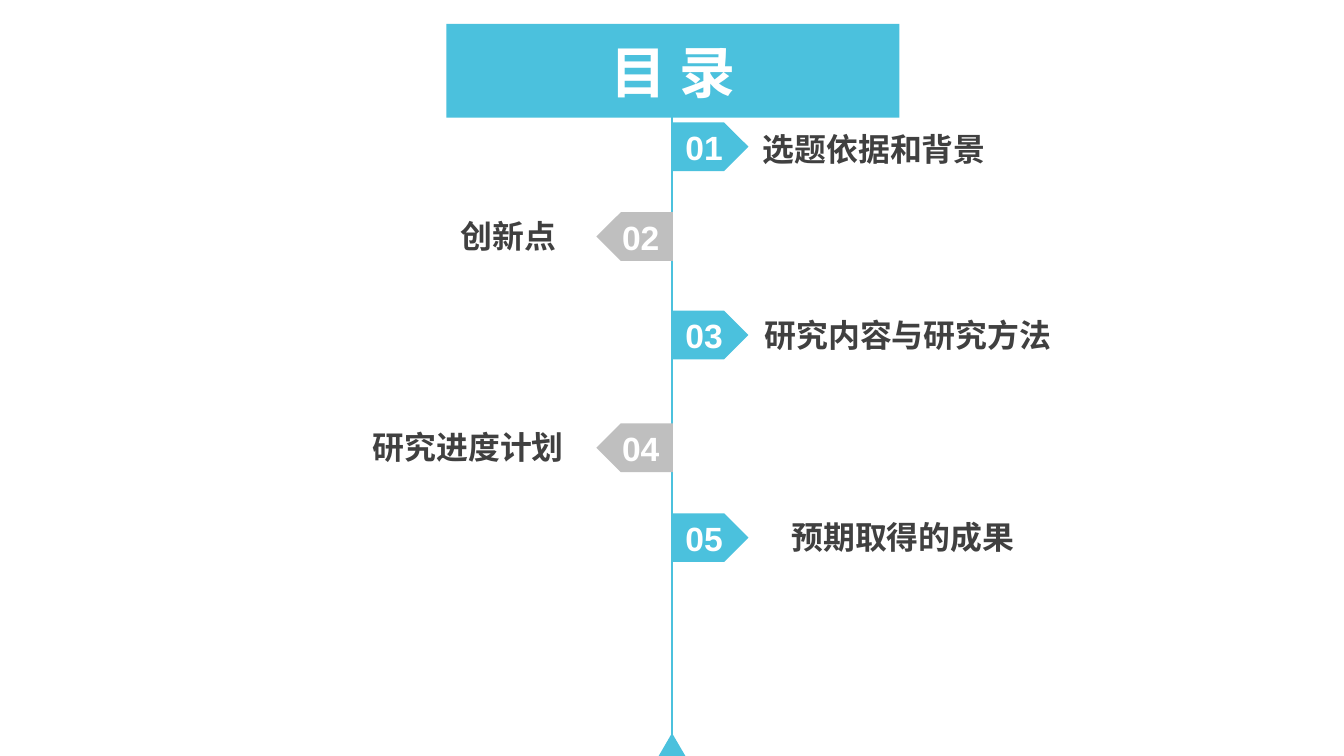
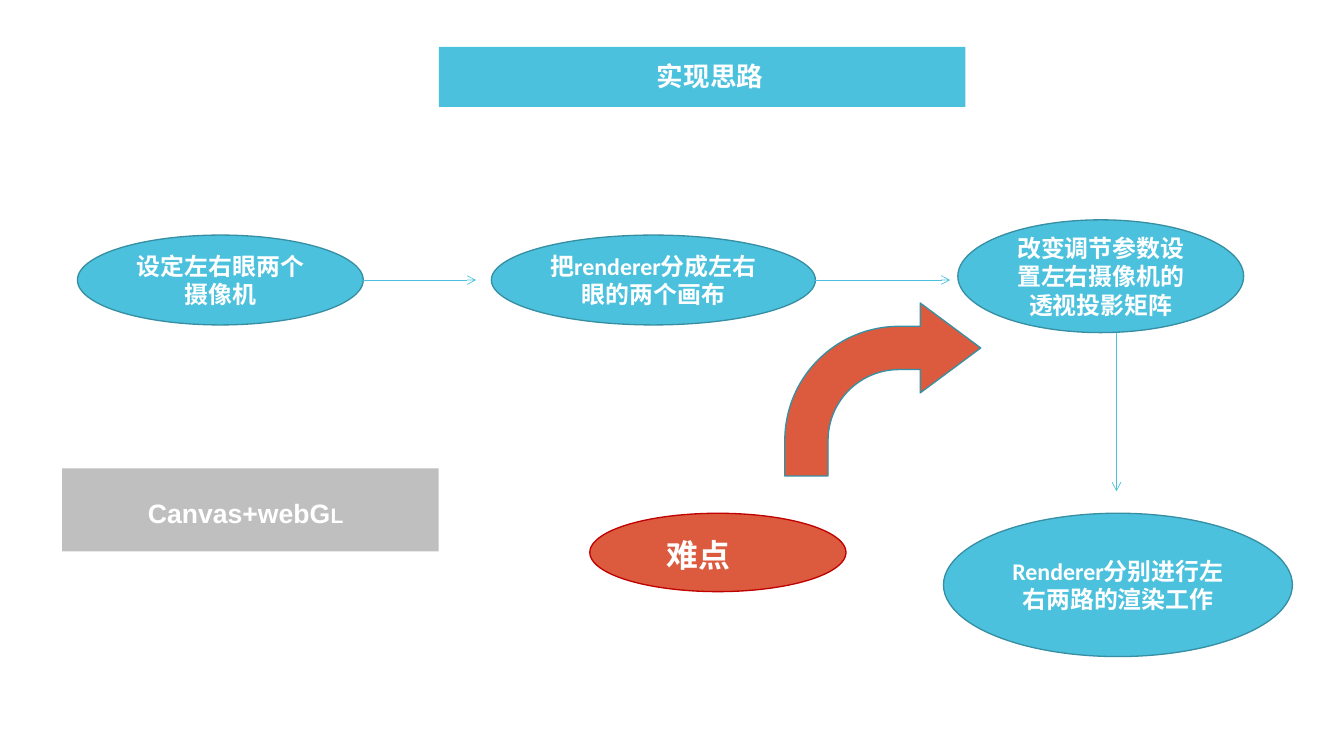
from dataclasses import dataclass

from lxml import etree
from pptx import Presentation
from pptx.dml.color import RGBColor
from pptx.enum.shapes import MSO_CONNECTOR, MSO_SHAPE
from pptx.enum.text import MSO_ANCHOR, PP_ALIGN
from pptx.oxml.ns import qn
from pptx.shapes.autoshape import Shape
from pptx.slide import Slide
from pptx.text.text import TextFrame
from pptx.util import Inches, Pt

BLUE = "4BC1DD"
BLUE_EDGE = "378FA3"
GREY = "BFBFBF"
RED = "DC5B3E"
RED_EDGE = "C00000"
WHITE = "FFFFFF"
DARK = "404040"

AXIS_X = 7.03
TAG_WIDTH = 0.8
TAG_HEIGHT = 0.51
FLOW_Y = 2.93


@dataclass(frozen=True)
class Box:
    left: float
    top: float
    width: float
    height: float

    def lengths(self) -> tuple[int, int, int, int]:
        return (Inches(self.left), Inches(self.top),
                Inches(self.width), Inches(self.height))


@dataclass(frozen=True)
class TextStyle:
    size: float
    font: str = "Arial"
    color: str = WHITE
    align: PP_ALIGN = PP_ALIGN.CENTER
    anchor: MSO_ANCHOR = MSO_ANCHOR.MIDDLE
    margin_x: float = 0
    margin_y: float = 0
    spacing: float = 1.0


@dataclass(frozen=True)
class Chapter:
    number: str
    title: str
    top: float
    title_box: Box
    on_left: bool = False


@dataclass(frozen=True)
class Step:
    text: str
    box: Box


@dataclass(frozen=True)
class Arrow:
    x1: float
    y1: float
    x2: float
    y2: float


HEADING = TextStyle(42.2)
NUMBER = TextStyle(25.3)
CHAPTER_TITLE = TextStyle(24, "DejaVu Sans", DARK, PP_ALIGN.LEFT,
                          MSO_ANCHOR.TOP, 0.1, 0.05)
STEP_TEXT = TextStyle(18, "Calibri", margin_x=0.1, margin_y=0.05)
BAND_TEXT = TextStyle(20, margin_y=0.11, spacing=1.2)
DIFFICULTY = TextStyle(24, anchor=MSO_ANCHOR.TOP, margin_x=0.1,
                       margin_y=0.05, spacing=1.2)

CHAPTERS = (
    Chapter("01", "选题依据和背景", 1.28, Box(7.88, 1.31, 2.7, 0.5)),
    Chapter("02", "创新点", 2.22, Box(4.72, 2.22, 1.31, 0.5), True),
    Chapter("03", "研究内容与研究方法", 3.25, Box(7.9, 3.25, 3.36, 0.5)),
    Chapter("04", "研究进度计划", 4.43, Box(3.8, 4.43, 2.3, 0.5), True),
    Chapter("05", "预期取得的成果", 5.37, Box(8.18, 5.37, 2.66, 0.5)),
)

STEPS = (
    Step("设定左右眼两个摄像机", Box(0.81, 2.46, 2.99, 0.94)),
    Step("把renderer分成左右眼的两个画布", Box(5.14, 2.46, 3.39, 0.94)),
    Step("改变调节参数设置左右摄像机的透视投影矩阵", Box(10.02, 2.3, 2.99, 1.18)),
    Step("Renderer分别进行左右两路的渲染工作", Box(9.87, 5.37, 3.65, 1.5)),
)

ARROWS = (
    Arrow(3.8, FLOW_Y, 4.98, FLOW_Y),
    Arrow(8.53, FLOW_Y, 9.94, FLOW_Y),
    Arrow(11.68, 3.48, 11.68, 5.14),
)


def rgb(value: str) -> RGBColor:
    return RGBColor.from_string(value)


def write(frame: TextFrame, text: str, style: TextStyle) -> None:
    frame.word_wrap = True
    frame.vertical_anchor = style.anchor
    frame.margin_left = frame.margin_right = Inches(style.margin_x)
    frame.margin_top = frame.margin_bottom = Inches(style.margin_y)
    paragraph = frame.paragraphs[0]
    paragraph.add_run().text = text
    paragraph.alignment = style.align
    paragraph.line_spacing = style.spacing
    paragraph.font.size = Pt(style.size)
    paragraph.font.name = style.font
    paragraph.font.bold = True
    paragraph.font.color.rgb = rgb(style.color)


def add_figure(slide: Slide, kind: MSO_SHAPE, box: Box, fill: str,
               edge: str | None = None) -> Shape:
    figure = slide.shapes.add_shape(kind, *box.lengths())
    figure.shadow.inherit = False
    figure.fill.solid()
    figure.fill.fore_color.rgb = rgb(fill)
    if edge:
        figure.line.color.rgb = rgb(edge)
        figure.line.width = Pt(1)
    else:
        figure.line.fill.background()
    return figure


def add_caption(slide: Slide, box: Box, text: str, style: TextStyle) -> TextFrame:
    frame = slide.shapes.add_textbox(*box.lengths()).text_frame
    write(frame, text, style)
    return frame


def add_line(slide: Slide, route: Arrow, width: float, arrowhead: bool) -> None:
    line = slide.shapes.add_connector(
        MSO_CONNECTOR.STRAIGHT, Inches(route.x1), Inches(route.y1),
        Inches(route.x2), Inches(route.y2))
    line.line.color.rgb = rgb(BLUE)
    line.line.width = Pt(width)
    if arrowhead:
        etree.SubElement(line.line._get_or_add_ln(), qn("a:tailEnd"), type="arrow")
    etree.SubElement(line._element.spPr, qn("a:effectLst"))


def add_chapter(slide: Slide, chapter: Chapter) -> None:
    left = AXIS_X - TAG_WIDTH + 0.01 if chapter.on_left else AXIS_X
    tag = add_figure(slide, MSO_SHAPE.PENTAGON,
                     Box(left, chapter.top, TAG_WIDTH, TAG_HEIGHT),
                     GREY if chapter.on_left else BLUE)
    if chapter.on_left:
        tag._element.spPr.find(qn("a:xfrm")).set("flipH", "1")
    write(tag.text_frame, chapter.number, NUMBER)
    add_caption(slide, chapter.title_box, chapter.title, CHAPTER_TITLE)


def build_contents(slide: Slide) -> None:
    add_line(slide, Arrow(AXIS_X, 1.17, AXIS_X, 7.91), 2, False)
    heading = add_figure(slide, MSO_SHAPE.RECTANGLE, Box(4.67, 0.25, 4.74, 0.98), BLUE)
    write(heading.text_frame, "目 录", HEADING)
    add_figure(slide, MSO_SHAPE.ISOSCELES_TRIANGLE, Box(6.89, 7.67, 0.28, 0.24), BLUE)
    for chapter in CHAPTERS:
        add_chapter(slide, chapter)


def build_approach(slide: Slide) -> None:
    add_figure(slide, MSO_SHAPE.RECTANGLE, Box(4.59, 0.49, 5.51, 0.63), BLUE)
    add_caption(slide, Box(4.91, 0.49, 5.04, 0.55), "实现思路", BAND_TEXT)

    for step in STEPS:
        oval = add_figure(slide, MSO_SHAPE.OVAL, step.box, BLUE, BLUE_EDGE)
        write(oval.text_frame, step.text, STEP_TEXT)
    for arrow in ARROWS:
        add_line(slide, arrow, 0.5, True)

    add_figure(slide, MSO_SHAPE.OVAL, Box(6.17, 5.37, 2.68, 0.82), RED, RED_EDGE)
    add_caption(slide, Box(6.72, 5.48, 1.17, 0.54), "难点", DIFFICULTY)
    bend = add_figure(slide, MSO_SHAPE.BENT_ARROW, Box(8.21, 3.17, 2.05, 1.81),
                      RED, BLUE_EDGE)
    for index, value in enumerate((0.25, 0.26, 0.35, 0.66)):
        bend.adjustments[index] = value

    add_figure(slide, MSO_SHAPE.RECTANGLE, Box(0.65, 4.9, 3.94, 0.87), GREY)
    technology = add_caption(slide, Box(0.89, 5.06, 3.36, 0.55), "Canvas+webG", BAND_TEXT)
    small_letter = technology.paragraphs[0].add_run()
    small_letter.text = "L"
    small_letter.font.size = Pt(15.8)


def main() -> None:
    deck = Presentation()
    deck.slide_width = Inches(14.06)
    deck.slide_height = Inches(7.91)
    blank = deck.slide_layouts[6]
    for build in (build_contents, build_approach):
        build(deck.slides.add_slide(blank))
    deck.save("out.pptx")


if __name__ == "__main__":
    main()
